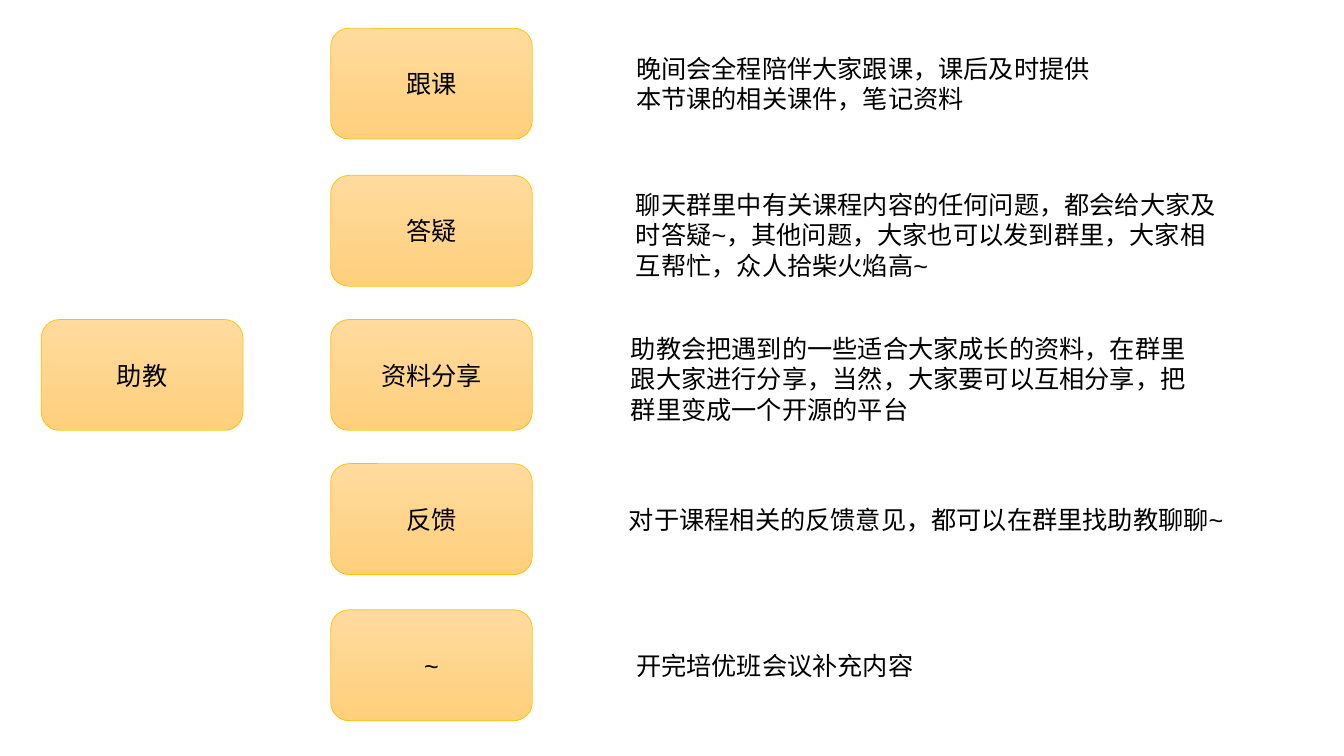
from pptx import Presentation
from pptx.dml.color import RGBColor
from pptx.enum.shapes import MSO_SHAPE as Shape
from pptx.enum.text import MSO_ANCHOR as Anchor, MSO_AUTO_SIZE as AutoSize, PP_ALIGN as Align
from pptx.util import Inches, Pt

ROLE = "助教"
# duty, box top, explanation, (left, top, width, height) of explanation, wraps
DUTIES = [
    ("跟课", 0.28, "晚间会全程陪伴大家跟课，课后及时提供本节课的相关课件，笔记资料",
     (6.21, 0.48, 4.89, 0.71), True),
    ("答疑", 1.74, "聊天群里中有关课程内容的任何问题，都会给大家及时答疑~，"
     "其他问题，大家也可以发到群里，大家相互帮忙，众人拾柴火焰高~",
     (6.21, 1.83, 6, 1.01), True),
    ("资料分享", 3.17, "助教会把遇到的一些适合大家成长的资料，在群里跟大家进行分享，"
     "当然，大家要可以互相分享，把群里变成一个开源的平台",
     (6.16, 3.26, 5.93, 1.01), True),
    ("反馈", 4.6, "对于课程相关的反馈意见，都可以在群里找助教聊聊~",
     (6.14, 4.95, 6.16, 0.4), False),
    ("~", 6.05, "开完培优班会议补充内容",
     (6.21, 6.4, 2.98, 0.4), False),
]

ROLE_LEFT, ROLE_TOP = 0.41, 3.17
DUTY_LEFT = 3.28
BOX_W, BOX_H = 2, 1.1

BLACK = RGBColor(0x00, 0x00, 0x00)
GOLD = RGBColor(0xFF, 0xC0, 0x00)
LIGHT_ORANGE = RGBColor(0xFF, 0xDB, 0x9E)
ORANGE = RGBColor(0xFF, 0xD0, 0x7C)


def write(frame, text, align):
    paragraph = frame.paragraphs[0]
    paragraph.alignment = align
    run = paragraph.add_run()
    run.text = text
    run.font.name = "Arial"
    run.font.size = Pt(18)
    run.font.color.rgb = BLACK


def add_box(slide, text, left, top):
    box = slide.shapes.add_shape(
        Shape.ROUNDED_RECTANGLE, Inches(left), Inches(top), Inches(BOX_W), Inches(BOX_H))
    box.shadow.inherit = False
    box.fill.gradient()
    box.fill.gradient_angle = 270  # light at the top
    for stop, color in zip(box.fill.gradient_stops, (LIGHT_ORANGE, ORANGE)):
        stop.color.rgb = color
    box.fill.gradient_stops[0].position = 0
    box.fill.gradient_stops[1].position = 1
    box.line.color.rgb = GOLD
    box.line.width = Pt(0.5)
    box.text_frame.vertical_anchor = Anchor.MIDDLE
    write(box.text_frame, text, Align.CENTER)


def add_explanation(slide, text, area, wraps):
    frame = slide.shapes.add_textbox(*map(Inches, area)).text_frame
    frame.word_wrap = wraps
    frame.auto_size = AutoSize.SHAPE_TO_FIT_TEXT
    write(frame, text, Align.LEFT)


def main():
    deck = Presentation()
    deck.slide_width, deck.slide_height = Inches(13.33), Inches(7.5)
    slide = deck.slides.add_slide(deck.slide_layouts[6])
    add_box(slide, ROLE, ROLE_LEFT, ROLE_TOP)
    for duty, top, explanation, area, wraps in DUTIES:
        add_box(slide, duty, DUTY_LEFT, top)
        add_explanation(slide, explanation, area, wraps)
    deck.save("out.pptx")


if __name__ == "__main__":
    main()
